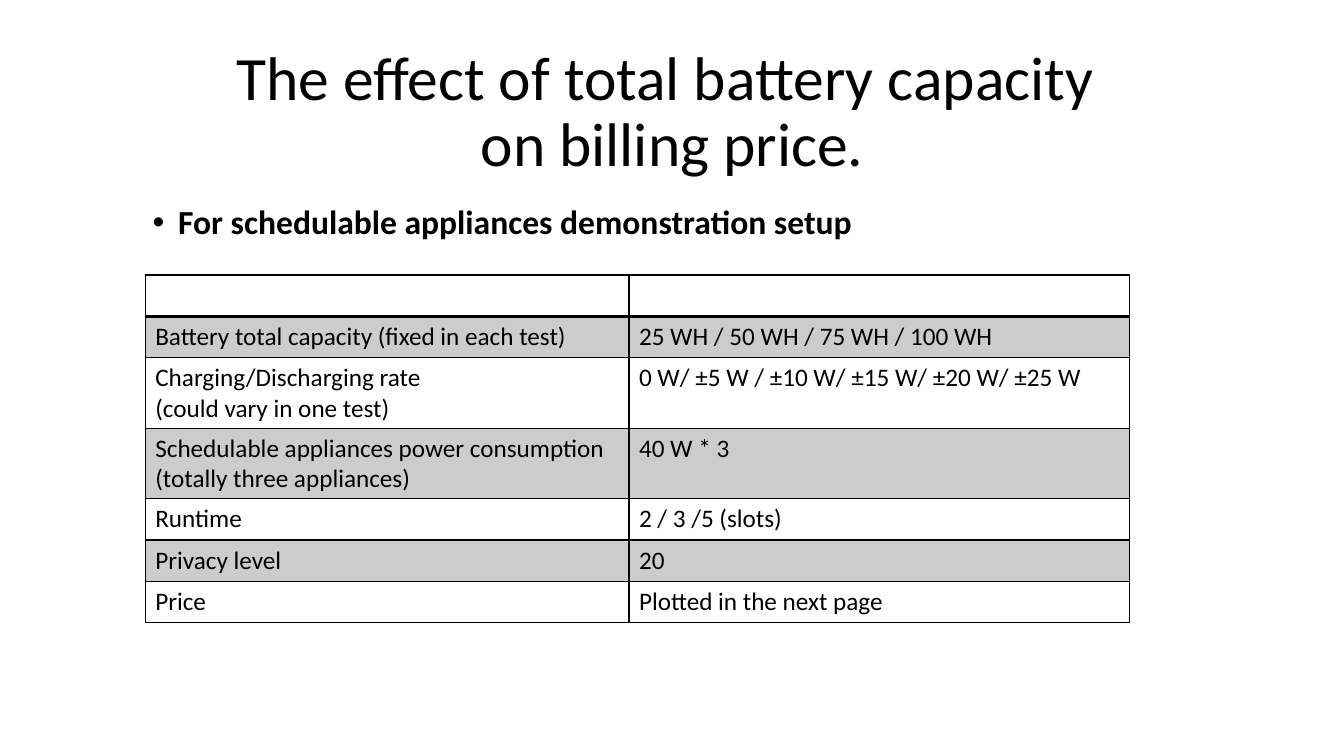
from lxml import etree
from pptx import Presentation
from pptx.dml.color import RGBColor
from pptx.enum.text import MSO_ANCHOR, MSO_AUTO_SIZE, PP_ALIGN
from pptx.oxml.ns import qn
from pptx.util import Cm, Pt

CENTER = PP_ALIGN.CENTER
MIDDLE = MSO_ANCHOR.MIDDLE
NO_AUTOFIT = MSO_AUTO_SIZE.NONE
TITLE_ONLY = 5
FONT = "Calibri"
BLACK, BAND_GREY = "000000", "CCCCCC"

COLUMN_WIDTHS = (12.19, 12.62)
ROW_HEIGHT = 1.04
SETUP_ROWS = (
    ("", ""),
    ("Battery total capacity (fixed in each test)", "25 WH / 50 WH / 75 WH / 100 WH"),
    ("Charging/Discharging rate\n(could vary in one test)",
     "0 W/ ±5 W / ±10 W/ ±15 W/ ±20 W/ ±25 W"),
    ("Schedulable appliances power consumption\n(totally three appliances)", "40 W * 3"),
    ("Runtime", "2 / 3 /5 (slots)"),
    ("Privacy level", "20"),
    ("Price", "Plotted in the next page"),
)


def color(hex_string):
    return RGBColor.from_string(hex_string)


def format_paragraph(paragraph, size, bold=False):
    font = paragraph.font
    font.name, font.size, font.bold = FONT, Pt(size), bold
    font.color.rgb = color(BLACK)


def add_title(slide, left, top, width, height):
    title = slide.shapes.title
    title.left, title.top, title.width, title.height = map(Cm, (left, top, width, height))
    frame = title.text_frame
    frame.word_wrap = True
    frame.auto_size = NO_AUTOFIT
    frame.vertical_anchor = MIDDLE
    # The vertical tab is a line break within the paragraph
    frame.text = "The effect of total battery capacity \von billing price."
    paragraph = frame.paragraphs[0]
    paragraph.alignment = CENTER
    paragraph.line_spacing = 0.9
    format_paragraph(paragraph, 44)


def add_bullet(slide, left, top, width, height):
    box = slide.shapes.add_textbox(Cm(left), Cm(top), Cm(width), Cm(height))
    frame = box.text_frame
    frame.word_wrap = True
    frame.text = "For schedulable appliances demonstration setup"
    paragraph = frame.paragraphs[0]
    paragraph.line_spacing = 0.9
    paragraph.space_before = Pt(5)
    format_paragraph(paragraph, 24, bold=True)
    # Hanging indent and bullet character
    properties = paragraph._p.get_or_add_pPr()
    properties.set("marL", str(Cm(1.9)))
    properties.set("indent", str(Cm(-0.64)))
    font_element = etree.Element(qn("a:buFont"), typeface="Arial")
    bullet = etree.Element(qn("a:buChar"), char="•")
    position = properties.index(properties.find(qn("a:defRPr")))
    properties[position:position] = [font_element, bullet]


def set_borders(cell, widths):
    """Draw the left, right, top and bottom borders, widths in points."""
    properties = cell._tc.get_or_add_tcPr()
    for position, (side, width) in enumerate(zip("LRTB", widths)):
        line = etree.Element(qn(f"a:ln{side}"), w=str(Pt(width)))
        fill = etree.SubElement(line, qn("a:solidFill"))
        etree.SubElement(fill, qn("a:srgbClr"), val=BLACK)
        properties.insert(position, line)


def add_setup_table(slide, left, top):
    frame = slide.shapes.add_table(
        len(SETUP_ROWS), len(COLUMN_WIDTHS), Cm(left), Cm(top),
        Cm(sum(COLUMN_WIDTHS)), Cm(ROW_HEIGHT * len(SETUP_ROWS)))
    table = frame.table
    table.first_row = table.horz_banding = False
    for column, width in zip(table.columns, COLUMN_WIDTHS):
        column.width = Cm(width)
    for row_index, texts in enumerate(SETUP_ROWS):
        table.rows[row_index].height = Cm(ROW_HEIGHT)
        for column_index, text in enumerate(texts):
            cell = table.cell(row_index, column_index)
            cell.text = text
            for paragraph in cell.text_frame.paragraphs:
                format_paragraph(paragraph, 18)
            # Odd rows are shaded
            if row_index % 2:
                cell.fill.solid()
                cell.fill.fore_color.rgb = color(BAND_GREY)
            else:
                cell.fill.background()
            # A thicker rule parts the header from the body
            top_width = 2 if row_index == 1 else 1
            bottom_width = 2 if row_index == 0 else 1
            set_borders(cell, (1, 1, top_width, bottom_width))


def main():
    presentation = Presentation()
    presentation.slide_width, presentation.slide_height = Cm(33.87), Cm(19.05)
    slide = presentation.slides.add_slide(presentation.slide_layouts[TITLE_ONLY])
    add_title(slide, 2.34, 1.02, 29.21, 3.68)
    add_bullet(slide, 2.34, 5.05, 29.21, 1.52)
    add_setup_table(slide, 3.66, 6.93)
    presentation.save("out.pptx")


if __name__ == "__main__":
    main()
